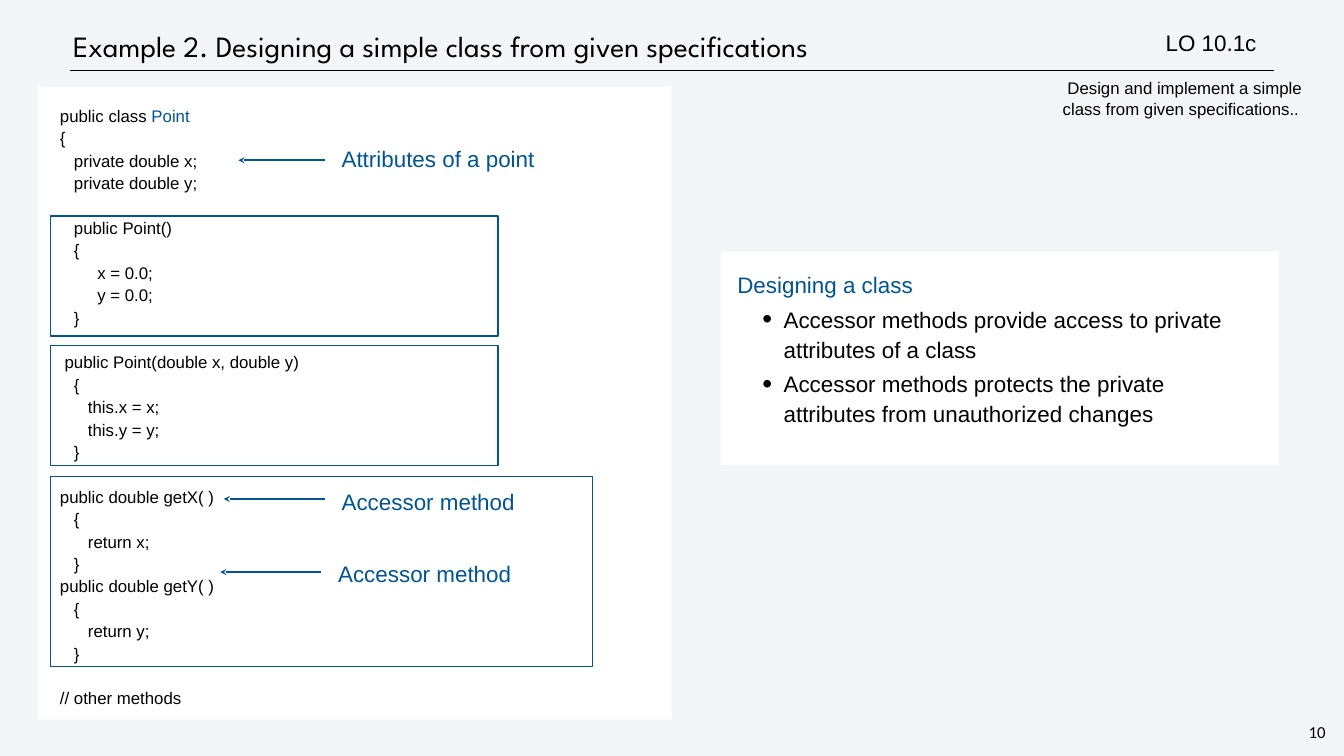
"""Build a slide on designing a simple class; lengths are percentages of the slide."""
import dataclasses

import lxml.etree
import pptx
import pptx.dml.color
import pptx.enum.shapes
import pptx.enum.text
import pptx.oxml.ns
import pptx.util

WIDTH, HEIGHT = 26.67, 15
BLACK, WHITE, BLUE, PALE = "000000", "FFFFFF", "005493", "F3F6F9"
SPACE = 0.0926
Align = pptx.enum.text.PP_ALIGN
Anchor = pptx.enum.text.MSO_ANCHOR


@dataclasses.dataclass(frozen=True)
class Area:
    """A rectangle in percentages of the slide's width and height."""
    left: float
    top: float
    width: float
    height: float


@dataclasses.dataclass(frozen=True)
class Callout:
    """A label with an arrow that points left at a line of code."""
    label: str
    area: Area
    tail: float
    tip: float
    row: float


@dataclasses.dataclass(frozen=True)
class CodeLine:
    """A line of code with its indent in spaces and the empty lines above it."""
    code: str
    spaces: int = 0
    gap: int = 0
    class_name: str = ""


CODE = [
    CodeLine("public class ", class_name="Point"),
    CodeLine("{"),
    CodeLine("private double x;", 3),
    CodeLine("private double y;", 3),
    CodeLine("public Point()", 3, gap=1),
    CodeLine("{", 3),
    CodeLine("x = 0.0;", 8),
    CodeLine("y = 0.0;", 8),
    CodeLine("}", 3),
    CodeLine("public Point(double x, double y)", 1, gap=1),
    CodeLine("{", 3),
    CodeLine("this.x = x;", 6),
    CodeLine("this.y = y;", 6),
    CodeLine("}", 3),
    CodeLine("public double getX( )", gap=1),
    CodeLine("{", 3),
    CodeLine("return x;", 6),
    CodeLine("}", 3),
    CodeLine("public double getY( )"),
    CodeLine("{", 3),
    CodeLine("return y;", 6),
    CodeLine("}", 3),
    CodeLine("// other methods", gap=1),
]
METHOD_FRAMES = [
    Area(3.75, 28.6, 33.3, 15.87),
    Area(3.75, 45.73, 33.3, 15.87),
    Area(3.75, 63, 40.34, 25.2),
]
CALLOUTS = [
    Callout("Attributes of a point", Area(24.78, 18.73, 17.96, 5.13), 24.15, 17.74, 21.2),
    Callout("Accessor method", Area(24.78, 64.07, 16.05, 5.13), 24.15, 16.65, 66),
    Callout("Accessor method", Area(24.52, 73.67, 16.05, 5.13), 23.85, 16.39, 75.67),
]
BENEFITS = [
    "Accessor methods provide access to private attributes of a class",
    "Accessor methods protects the private attributes from unauthorized changes",
]


def color(value: str) -> pptx.dml.color.RGBColor:
    """Turn a hex string into a colour."""
    return pptx.dml.color.RGBColor.from_string(value)


def across(share: float) -> int:
    """Convert a percentage of the slide's width."""
    return pptx.util.Inches(WIDTH * share / 100)


def down(share: float) -> int:
    """Convert a percentage of the slide's height."""
    return pptx.util.Inches(HEIGHT * share / 100)


def bounds(area: Area) -> tuple[int, int, int, int]:
    """Give the left, top, width and height of an area."""
    return across(area.left), down(area.top), across(area.width), down(area.height)


def add_run(paragraph, text: str, size: float, font: str, tint: str) -> None:
    """Append formatted text to a paragraph."""
    run = paragraph.add_run()
    run.text = text
    run.font.size = pptx.util.Pt(size)
    run.font.name = font
    run.font.color.rgb = color(tint)


def write(frame, text: str, *, size=32, font="Arial", tint=BLACK, align=Align.LEFT,
          spacing=None, before=0, margin=0.0, first=0.0, bullet=False):
    """Add a formatted paragraph to a text frame."""
    paragraph = frame.paragraphs[0]
    if paragraph.runs:
        paragraph = frame.add_paragraph()
    paragraph.alignment = align
    paragraph.line_spacing = spacing
    paragraph.space_before = pptx.util.Pt(before)
    properties = paragraph._p.get_or_add_pPr()
    properties.set("marL", str(pptx.util.Inches(margin)))
    properties.set("indent", str(pptx.util.Inches(first)))
    if bullet:
        paragraph.level = 1
        for tag, key, value in (("a:buSzPct", "val", "125000"),
                                ("a:buFont", "typeface", "Arial"),
                                ("a:buChar", "char", "•")):
            lxml.etree.SubElement(properties, pptx.oxml.ns.qn(tag)).set(key, value)
    add_run(paragraph, text, size, font, tint)
    return paragraph


def set_frame(frame, inset: float, anchor=Anchor.TOP, wrap=True):
    """Set the insets, anchor and wrapping of a text frame."""
    frame.margin_left = frame.margin_right = pptx.util.Inches(inset)
    frame.margin_top = frame.margin_bottom = pptx.util.Inches(inset)
    frame.vertical_anchor = anchor
    frame.auto_size = pptx.enum.text.MSO_AUTO_SIZE.NONE
    frame.word_wrap = wrap
    return frame


def add_text_area(slide, area: Area, inset: float, anchor=Anchor.TOP, wrap=True):
    """Add a text box and return its text frame."""
    return set_frame(slide.shapes.add_textbox(*bounds(area)).text_frame, inset, anchor, wrap)


def add_box(slide, area: Area, fill: str = "", outline: str = ""):
    """Add a rectangle and return its text frame."""
    box = slide.shapes.add_shape(pptx.enum.shapes.MSO_SHAPE.RECTANGLE, *bounds(area))
    box.shadow.inherit = False
    if fill:
        box.fill.solid()
        box.fill.fore_color.rgb = color(fill)
    else:
        box.fill.background()
    if outline:
        box.line.color.rgb = color(outline)
        box.line.width = pptx.util.Pt(2)
    else:
        box.line.fill.background()
    return set_frame(box.text_frame, 0.33)


def add_line(slide, start: float, end: float, row: float, tint: str, width: float, arrow=False) -> None:
    """Draw a level line, with an arrowhead at its end if asked."""
    line = slide.shapes.add_connector(pptx.enum.shapes.MSO_CONNECTOR.STRAIGHT,
                                      across(start), down(row), across(end), down(row))
    line.line.color.rgb = color(tint)
    line.line.width = pptx.util.Pt(width)
    properties = line._element.spPr
    if arrow:
        outline = properties.find(pptx.oxml.ns.qn("a:ln"))
        lxml.etree.SubElement(outline, pptx.oxml.ns.qn("a:tailEnd")).set("type", "stealth")
    lxml.etree.SubElement(properties, pptx.oxml.ns.qn("a:effectLst"))


def main() -> None:
    """Build and save the slide."""
    deck = pptx.Presentation()
    deck.slide_width, deck.slide_height = across(100), down(100)
    slide = deck.slides.add_slide(deck.slide_layouts[5])
    slide.background.fill.solid()
    slide.background.fill.fore_color.rgb = color(PALE)

    title = slide.shapes.title
    title.left, title.top, title.width, title.height = bounds(Area(5.21, 2.8, 84.81, 6.6))
    write(set_frame(title.text_frame, 0.06, Anchor.MIDDLE),
          "Example 2. Designing a simple class from given specifications",
          size=42, font="League Spartan", spacing=pptx.util.Pt(50), before=3)
    add_line(slide, 5.21, 94.79, 9.33, BLACK, 1)

    listing = add_box(slide, Area(2.85, 11.47, 47.13, 83.73), fill=WHITE)
    for line in CODE:
        paragraph = write(listing, line.code, size=24, spacing=pptx.util.Pt(32),
                          before=32 * line.gap, first=0.1 + SPACE * line.spaces)
        if line.class_name:
            add_run(paragraph, line.class_name, 24, "Arial", BLUE)
    for area in METHOD_FRAMES:
        add_box(slide, area, outline=BLUE)
    for callout in CALLOUTS:
        write(add_text_area(slide, callout.area, 0.17), callout.label, tint=BLUE, spacing=0.8)
        add_line(slide, callout.tail, callout.tip, callout.row, BLUE, 3, arrow=True)

    summary = add_box(slide, Area(53.62, 33.27, 41.51, 28.27), fill=WHITE)
    write(summary, "Designing a class", tint=BLUE, spacing=pptx.util.Pt(43), before=6)
    for benefit in BENEFITS:
        write(summary, benefit, spacing=pptx.util.Pt(43), before=6,
              margin=0.92, first=-0.42, bullet=True)

    write(add_text_area(slide, Area(86.5, 3.4, 11.21, 4.33), 0.06, Anchor.MIDDLE), "LO 10.1c")
    write(add_text_area(slide, Area(78.85, 9.93, 20.59, 6.13), 0.06, Anchor.MIDDLE),
          " Design and implement a simple class from given specifications..", size=24)
    write(add_text_area(slide, Area(97.19, 95.27, 1.61, 3.13), 0.04, wrap=False), "10",
          size=24, font="Calibri", align=Align.CENTER, spacing=pptx.util.Pt(28))
    deck.save("out.pptx")


if __name__ == "__main__":
    main()
